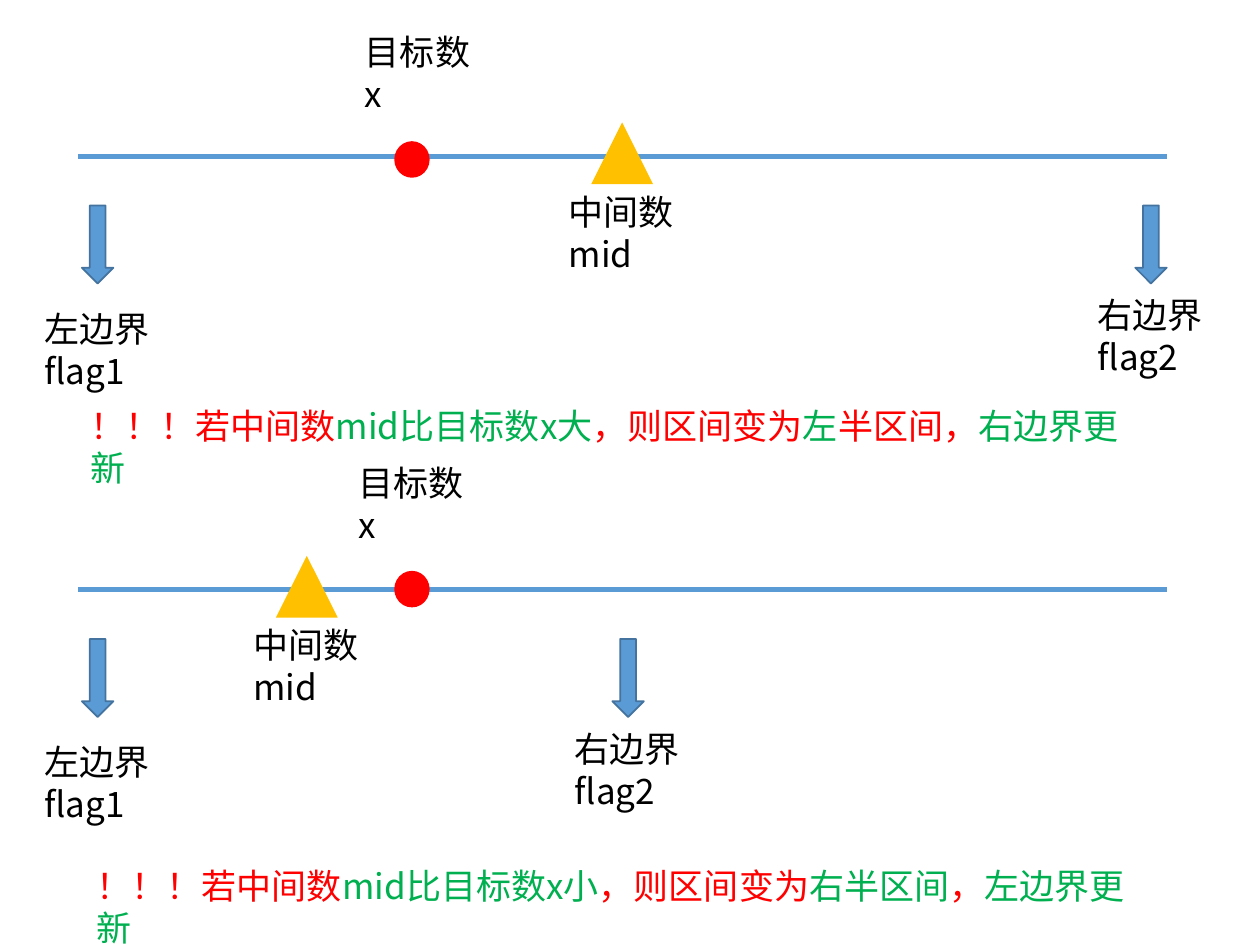
from dataclasses import dataclass

from lxml import etree
from pptx import Presentation
from pptx.dml.color import RGBColor
from pptx.enum.shapes import MSO_CONNECTOR, MSO_SHAPE
from pptx.enum.text import MSO_ANCHOR, PP_ALIGN
from pptx.oxml.ns import qn
from pptx.util import Pt

STRAIGHT = MSO_CONNECTOR.STRAIGHT
DOWN_ARROW = MSO_SHAPE.DOWN_ARROW
CIRCLE = MSO_SHAPE.OVAL
TRIANGLE = MSO_SHAPE.ISOSCELES_TRIANGLE
LEFT = PP_ALIGN.LEFT
TOP = MSO_ANCHOR.TOP


@dataclass(frozen=True)
class Theme:
    font: str = "Noto Sans CJK SC"
    size: float = 20
    text: str = "000000"
    axis: str = "5B9BD5"
    arrow_edge: str = "43739E"
    red: str = "FF0000"
    green: str = "00B050"
    amber: str = "FFC000"


class Painter:
    """Draws number-line elements on the current slide."""

    def __init__(self, page, theme):
        self.page = page
        self.theme = theme

    def text(self, parent, left, top, width, height, paragraphs):
        box = parent.shapes.add_textbox(Pt(left), Pt(top), Pt(width), Pt(height))
        frame = box.text_frame
        frame.word_wrap = True
        frame.vertical_anchor = TOP
        for index, runs in enumerate(paragraphs):
            para = frame.paragraphs[0] if index == 0 else frame.add_paragraph()
            para.alignment = LEFT
            for words, color in runs:
                span = para.add_run()
                span.text = words
                span.font.size = Pt(self.theme.size)
                span.font.name = self.theme.font
                span.font.color.rgb = RGBColor.from_string(color)
                # East Asian typeface
                east_asian = etree.SubElement(span.font._element, qn("a:ea"))
                east_asian.set("typeface", self.theme.font)

    def axis(self, y):
        line = self.page.shapes.add_connector(STRAIGHT, Pt(44.6), Pt(y), Pt(666.7), Pt(y))
        line.line.color.rgb = RGBColor.from_string(self.theme.axis)
        line.line.width = Pt(2.75)
        etree.SubElement(line._element.spPr, qn("a:effectLst"))

    def marker(self, kind, center, top, width, height, fill, label, label_top,
               edge=None, label_shift=0):
        """A shape and its two-line label, grouped around one center."""
        group = self.page.shapes.add_group_shape()
        shape = group.shapes.add_shape(
            kind, Pt(center - width / 2), Pt(top), Pt(width), Pt(height))
        shape.shadow.inherit = False
        shape.fill.solid()
        shape.fill.fore_color.rgb = RGBColor.from_string(fill)
        if edge:
            shape.line.color.rgb = RGBColor.from_string(edge)
            shape.line.width = Pt(1)
        else:
            shape.line.fill.background()
        # Wide enough to keep three characters on one line
        lines = [[(words, self.theme.text)] for words in label]
        self.text(group, center - 37.5 + label_shift, label_top, 77, 55.4, lines)

    def boundary(self, center, axis_y, label, label_drop):
        self.marker(DOWN_ARROW, center, axis_y + 28.1, 18, 44.6, self.theme.axis,
                    label, axis_y + label_drop, edge=self.theme.arrow_edge)

    def target(self, axis_y, circle_rise, label_rise, label_shift):
        self.marker(CIRCLE, 235.4, axis_y - circle_rise, 20.2, 20.9, self.theme.red,
                    ("目标数", "x"), axis_y - label_rise, label_shift=label_shift)

    def middle(self, center, axis_y):
        self.marker(TRIANGLE, center, axis_y - 19.4, 35.3, 35.3, self.theme.amber,
                    ("中间数", "mid"), axis_y + 15.8)

    def note(self, left, top, runs):
        self.text(self.page, left, top, 614.2, 31.5, [runs])


def main():
    theme = Theme()
    deck = Presentation()
    deck.slide_width, deck.slide_height = Pt(720), Pt(540)
    page = deck.slides.add_slide(deck.slide_layouts[6])
    painter = Painter(page, theme)
    red, green = theme.red, theme.green

    # Axis height, middle, right boundary, target offsets, note
    cases = [
        (89.3, 355.5, 657.7, (8.6, 75.6, 3.6), (44.6, 227.5), [
            ("！！！若中间数", red), ("mid比目标数x大", green),
            ("，则区间变为", red), ("左", green),
            ("半区间，", red), ("右边界更新", green)]),
        (337, 175.3, 358.9, (10.8, 77, 0), (48.2, 490.3), [
            ("！！！若中间数", red), ("mid比目标数x小", green),
            ("，则区间变为", red), ("右半区间", green),
            ("，", red), ("左边界更新", green)]),
    ]
    for axis_y, middle, right, target, note_at, note in cases:
        painter.axis(axis_y)
        painter.boundary(55.8, axis_y, ("左边界", "flag1"), 82.8)
        painter.boundary(right, axis_y, ("右边界", "flag2"), 74.9)
        painter.target(axis_y, *target)
        painter.middle(middle, axis_y)
        painter.note(*note_at, note)

    deck.save("out.pptx")


if __name__ == "__main__":
    main()
